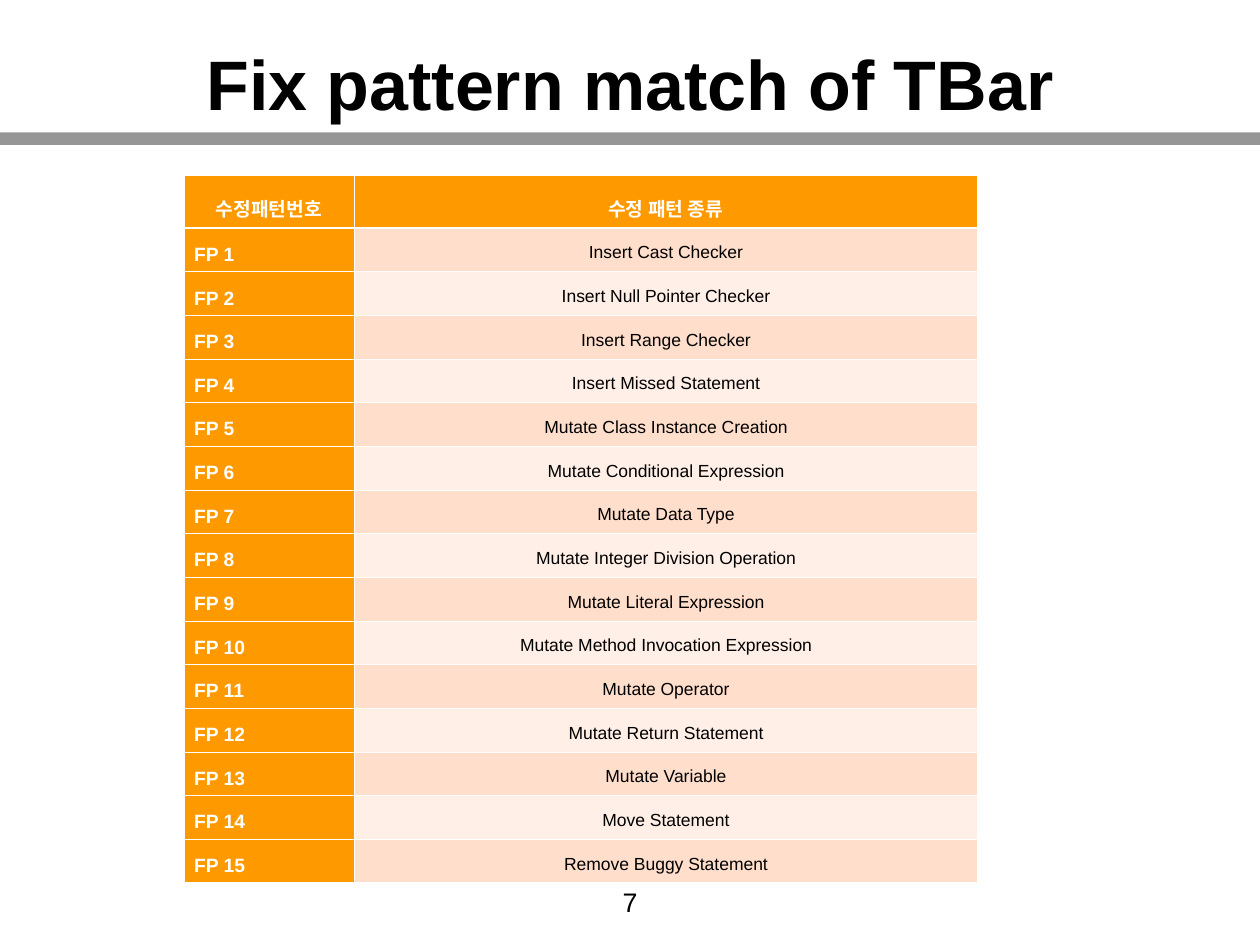
from dataclasses import dataclass

from lxml import etree
from pptx import Presentation
from pptx.dml.color import RGBColor
from pptx.enum.shapes import MSO_SHAPE
from pptx.enum.text import MSO_ANCHOR, PP_ALIGN
from pptx.oxml.ns import qn
from pptx.util import Inches, Pt

RECT = MSO_SHAPE.RECTANGLE
TOP, MIDDLE = MSO_ANCHOR.TOP, MSO_ANCHOR.MIDDLE
LEFT, CENTER = PP_ALIGN.LEFT, PP_ALIGN.CENTER


@dataclass(frozen=True)
class Theme:
    font: str = "Arial"
    black: str = "000000"
    white: str = "FFFFFF"
    bar: str = "969696"
    accent: str = "FF9900"
    bands: tuple = ("FFDECB", "FFEFE7")
    title_size: float = 40
    number_size: float = 15.3
    label_size: float = 11
    body_size: float = 10
    thin: float = 0.45
    thick: float = 1.47


THEME = Theme()
HEADERS = ("수정패턴번호", "수정 패턴 종류")
PATTERNS = (
    "Insert Cast Checker",
    "Insert Null Pointer Checker",
    "Insert Range Checker",
    "Insert Missed Statement",
    "Mutate Class Instance Creation",
    "Mutate Conditional Expression",
    "Mutate Data Type",
    "Mutate Integer Division Operation",
    "Mutate Literal Expression",
    "Mutate Method Invocation Expression",
    "Mutate Operator",
    "Mutate Return Statement",
    "Mutate Variable",
    "Move Statement",
    "Remove Buggy Statement",
)
COLUMN_WIDTHS = (1.35, 4.95)
TABLE_HEIGHT = 5.62
HEADER_HEIGHT = 0.42
ROW_HEIGHT = (TABLE_HEIGHT - HEADER_HEIGHT) / len(PATTERNS)


def set_text(tf, text, size, color, bold=False, align=CENTER):
    p = tf.paragraphs[0]
    p.text = text
    p.alignment = align
    p.font.name = THEME.font
    p.font.size = Pt(size)
    p.font.bold = bold
    p.font.color.rgb = RGBColor.from_string(color)
    return p


def add_text(s, left, top, width, height, text, size, bold=False, anchor=TOP):
    sp = s.shapes.add_textbox(Inches(left), Inches(top), Inches(width), Inches(height))
    tf = sp.text_frame
    tf.word_wrap = True
    tf.vertical_anchor = anchor
    set_text(tf, text, size, THEME.black, bold)


def add_bar(s, left, top, width, height):
    sp = s.shapes.add_shape(RECT, Inches(left), Inches(top), Inches(width), Inches(height))
    sp.shadow.inherit = False
    sp.fill.solid()
    sp.fill.fore_color.rgb = RGBColor.from_string(THEME.bar)
    sp.line.fill.background()


def set_borders(cell, top, bottom):
    """Draw white cell borders; top and bottom are widths in points."""
    tc_pr = cell._tc.get_or_add_tcPr()
    widths = {"a:lnL": THEME.thin, "a:lnR": THEME.thin, "a:lnT": top, "a:lnB": bottom}
    for tag, width in widths.items():
        ln = etree.SubElement(tc_pr, qn(tag), w=str(Pt(width)))
        fill = etree.SubElement(ln, qn("a:solidFill"))
        etree.SubElement(fill, qn("a:srgbClr"), val=THEME.white)


def fill_cell(cell, row, text, is_label, fill):
    set_borders(cell,
                top=THEME.thick if row == 1 else THEME.thin,
                bottom=THEME.thick if row == 0 else THEME.thin)
    cell.fill.solid()
    cell.fill.fore_color.rgb = RGBColor.from_string(fill)
    cell.margin_left = cell.margin_right = Inches(0.08)
    cell.margin_top = Inches(0.05)
    cell.margin_bottom = Inches(0.02)
    size, color = ((THEME.label_size, THEME.white) if is_label
                   else (THEME.body_size, THEME.black))
    align = LEFT if is_label and row else CENTER
    p = set_text(cell.text_frame, text, size, color, is_label, align)
    p.line_spacing = 1.45


def add_pattern_table(s, left, top):
    rows = [HEADERS] + [(f"FP {n}", name) for n, name in enumerate(PATTERNS, 1)]
    table = s.shapes.add_table(
        len(rows), len(HEADERS), Inches(left), Inches(top),
        Inches(sum(COLUMN_WIDTHS)), Inches(TABLE_HEIGHT)).table
    for column, width in zip(table.columns, COLUMN_WIDTHS):
        column.width = Inches(width)
    for i, texts in enumerate(rows):
        table.rows[i].height = Inches(ROW_HEIGHT if i else HEADER_HEIGHT)
        for j, text in enumerate(texts):
            is_label = i == 0 or j == 0
            fill = THEME.accent if is_label else THEME.bands[(i - 1) % 2]
            fill_cell(table.cell(i, j), i, text, is_label, fill)


def main():
    prs = Presentation()
    prs.slide_width, prs.slide_height = Inches(10), Inches(7.5)
    s = prs.slides.add_slide(prs.slide_layouts[6])
    add_bar(s, 0, 1.05, 10, 0.1)
    add_text(s, 0, 0.24, 10, 0.83, "Fix pattern match of TBar",
             THEME.title_size, bold=True, anchor=MIDDLE)
    add_text(s, 0.75, 6.98, 8.5, 0.35, "7", THEME.number_size)
    add_pattern_table(s, 1.46, 1.39)
    prs.save("out.pptx")


if __name__ == "__main__":
    main()
